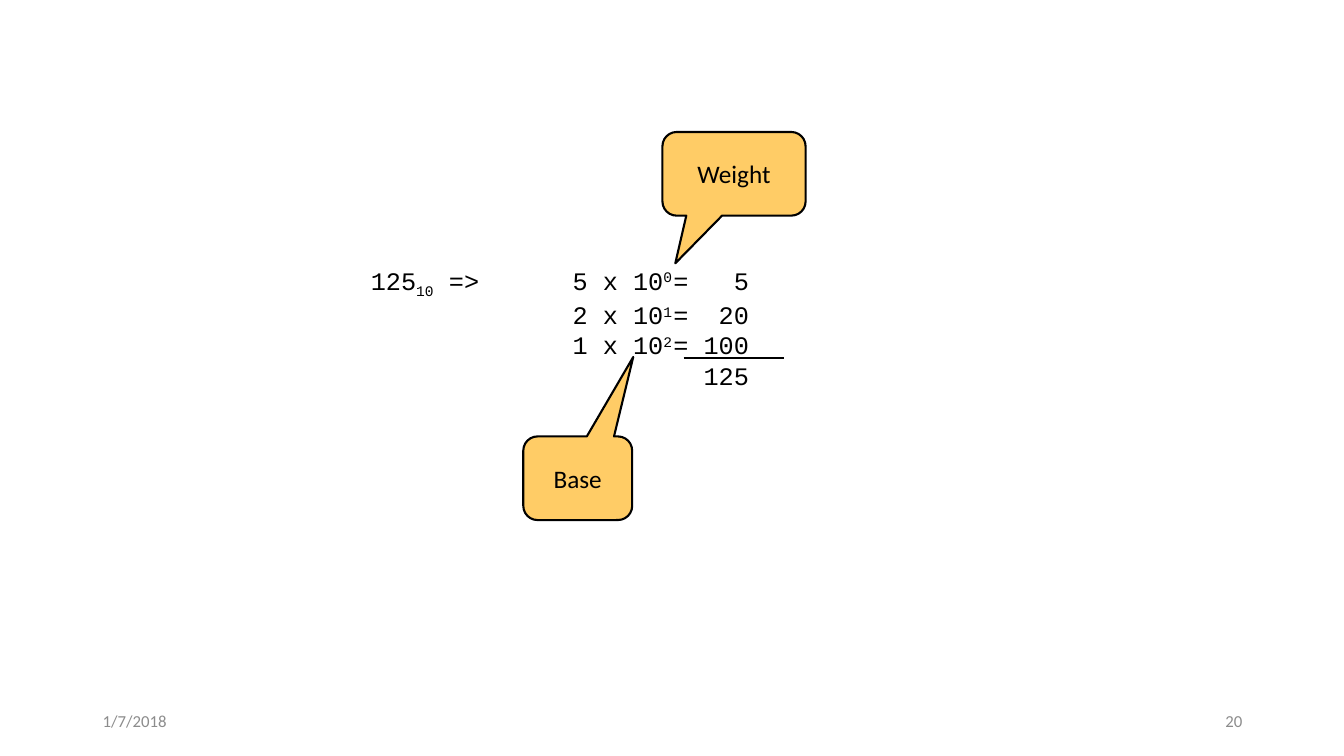
"""Build the slide that expands 125 into weighted powers of ten."""
from dataclasses import dataclass

from lxml import etree
from pptx import Presentation
from pptx.dml.color import RGBColor
from pptx.enum import shapes, text
from pptx.oxml.ns import qn
from pptx.util import Inches, Pt


@dataclass(frozen=True)
class Theme:
    ink: RGBColor = RGBColor.from_string("000000")
    muted: RGBColor = RGBColor.from_string("8C8C8C")
    callout: RGBColor = RGBColor.from_string("FFCC66")
    sans: str = "Calibri"
    mono: str = "Courier New"
    body: int = 18
    small: int = 12
    line: float = 1.5


THEME = Theme()
SUB, NORMAL, SUPER = -25000, 0, 30000
EXPANSION = [
    [("125", NORMAL), ("10", SUB), (" =>\t5 x 10", NORMAL), ("0", SUPER), ("\t=   5", NORMAL)],
    [("\t\t2 x 10", NORMAL), ("1", SUPER), ("\t=  20", NORMAL)],
    [("\t\t1 x 10", NORMAL), ("2", SUPER), ("\t= 100", NORMAL)],
    [("\t\t\t  125", NORMAL)],
]
EXPANSION_BOX = (3.58, 2.58, 6.58, 1.31)
TAB_STOPS = (1, 2, 3)
SUM_LINE = (6.78, 3.55, 7.78, 3.55)
CALLOUTS = [
    ("Base", (5.19, 4.33, 1.08, 0.83), (0.51, -1.45, 0.17)),
    ("Weight", (6.57, 1.31, 1.42, 0.83), (-0.41, 1.07, 0.17)),
]
FOOTERS = [
    ("20", (9.42, 6.95, 3, 0.4), text.PP_ALIGN.RIGHT),
    ("1/7/2018", (0.92, 6.95, 3, 0.4), text.PP_ALIGN.LEFT),
]


def inches(values):
    return [Inches(v) for v in values]


def style(p, face, size, color):
    p.font.name, p.font.size = face, Pt(size)
    p.font.color.rgb = color


def add_label(sp, words, align, size, color):
    tf = sp.text_frame
    tf.word_wrap = True
    tf.vertical_anchor = text.MSO_ANCHOR.MIDDLE
    p = tf.paragraphs[0]
    p.text, p.alignment = words, align
    style(p, THEME.sans, size, color)


def add_tab_stops(p):
    tabs = etree.SubElement(p._p.get_or_add_pPr(), qn("a:tabLst"))
    for stop in inches(TAB_STOPS):
        etree.SubElement(tabs, qn("a:tab"), pos=str(int(stop)), algn="l")


def add_expansion(s):
    tf = s.shapes.add_textbox(*inches(EXPANSION_BOX)).text_frame
    tf.word_wrap = True
    p = tf.paragraphs[0]
    add_tab_stops(p)
    for i, row in enumerate(EXPANSION):
        if i:
            p.add_line_break()
        for words, baseline in row:
            r = p.add_run()
            r.text = words
            if baseline:
                r.font._element.set("baseline", str(baseline))
    style(p, THEME.mono, THEME.body, THEME.ink)


def add_sum_line(s):
    line = s.shapes.add_connector(shapes.MSO_CONNECTOR.STRAIGHT, *inches(SUM_LINE))
    line.line.color.rgb, line.line.width = THEME.ink, Pt(THEME.line)
    etree.SubElement(line._element.spPr, qn("a:effectLst"))


def add_callout(s, words, box, adjustments):
    sp = s.shapes.add_shape(shapes.MSO_SHAPE.ROUNDED_RECTANGULAR_CALLOUT, *inches(box))
    for i, value in enumerate(adjustments):
        sp.adjustments[i] = value
    sp.shadow.inherit = False
    sp.fill.solid()
    sp.fill.fore_color.rgb = THEME.callout
    sp.line.color.rgb, sp.line.width = THEME.ink, Pt(THEME.line)
    add_label(sp, words, text.PP_ALIGN.CENTER, THEME.body, THEME.ink)


def main():
    prs = Presentation()
    prs.slide_width, prs.slide_height = inches((13.33, 7.5))
    s = prs.slides.add_slide(prs.slide_layouts[6])
    add_expansion(s)
    add_sum_line(s)
    for callout in CALLOUTS:
        add_callout(s, *callout)
    for words, box, align in FOOTERS:
        add_label(s.shapes.add_textbox(*inches(box)), words, align, THEME.small, THEME.muted)
    prs.save("out.pptx")


if __name__ == "__main__":
    main()
